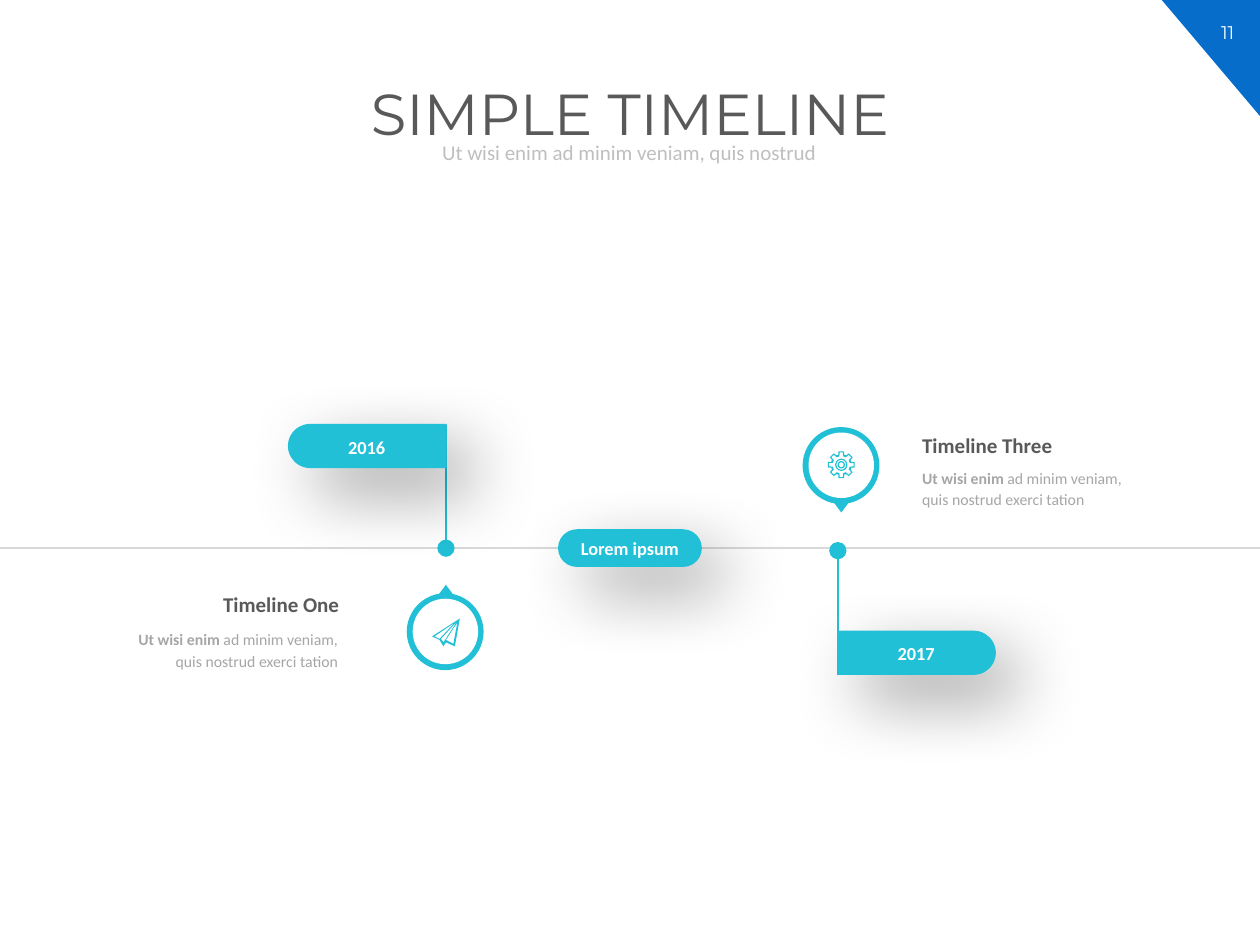
from math import cos, pi, sin

from lxml import etree
from pptx import Presentation
from pptx.dml.color import RGBColor
from pptx.enum.shapes import MSO_CONNECTOR, MSO_SHAPE
from pptx.enum.text import MSO_ANCHOR, PP_ALIGN
from pptx.oxml.ns import qn
from pptx.util import Cm, Pt

STRAIGHT = MSO_CONNECTOR.STRAIGHT
OVAL, TRIANGLE, DONUT = MSO_SHAPE.OVAL, MSO_SHAPE.ISOSCELES_TRIANGLE, MSO_SHAPE.DONUT
RIGHT_TRIANGLE, PILL = MSO_SHAPE.RIGHT_TRIANGLE, MSO_SHAPE.ROUNDED_RECTANGLE
FLAG = MSO_SHAPE.ROUND_2_SAME_RECTANGLE
TOP, MIDDLE = MSO_ANCHOR.TOP, MSO_ANCHOR.MIDDLE
LEFT, CENTER, RIGHT = PP_ALIGN.LEFT, PP_ALIGN.CENTER, PP_ALIGN.RIGHT
color = RGBColor.from_string
TEAL, WHITE, DARK = "21C0D7", "FFFFFF", "595959"

deck = Presentation()
deck.slide_width, deck.slide_height = Cm(25.4), Cm(19.05)
page = deck.slides.add_slide(deck.slide_layouts[6])


def add_form(kind, left, top, width, height, fill, rotation=0, adjust=()):
    form = page.shapes.add_shape(kind, Cm(left), Cm(top), Cm(width), Cm(height))
    form.shadow.inherit = False
    form.fill.solid()
    form.fill.fore_color.rgb = color(fill)
    form.line.fill.background()
    form.rotation = rotation
    for index, value in enumerate(adjust):
        form.adjustments[index] = value
    return form


def add_text(place, runs, size, ink, align=CENTER, font="Calibri", spacing=1.0,
             anchor=TOP, wrap=True, box=None):
    box = box or page.shapes.add_textbox(*[Cm(length) for length in place])
    frame = box.text_frame
    frame.word_wrap = wrap
    frame.vertical_anchor = anchor
    para = frame.paragraphs[0]
    para.alignment = align
    para.line_spacing = spacing
    for words, bold in runs:
        span = para.add_run()
        span.text = words
        span.font.name, span.font.size, span.font.bold = font, Pt(size), bold
        span.font.color.rgb = color(ink)


add_form(RIGHT_TRIANGLE, 23.42, 0, 1.98, 2.34, "066DCA", 180)
add_text((24.1, 0.3, 1.3, 0.71), [("11", False)], 10.5, WHITE, font="Montserrat")
add_text((1.45, 1.6, 22.5, 1.85), [("SIMPLE TIMELINE", False)], 33, DARK,
         font="Montserrat", spacing=0.9)
add_text((3.53, 2.77, 18.31, 0.66), [("Ut wisi enim ad minim veniam, quis nostrud", False)],
         12, "BFBFBF", spacing=0.9, anchor=MIDDLE)

lines = [
    (0, 11.05, 25.4, 11.05, "D9D9D9", 1, False),
    (8.99, 8.56, 8.99, 11.05, TEAL, 1.5, True),
    (16.89, 13.59, 16.89, 11.1, TEAL, 1.5, True),
]
for start_x, start_y, end_x, end_y, ink, weight, dotted in lines:
    line = page.shapes.add_connector(STRAIGHT, Cm(start_x), Cm(start_y), Cm(end_x), Cm(end_y))
    line.line.color.rgb = color(ink)
    line.line.width = Pt(weight)
    properties = line._element.spPr
    if dotted:
        etree.SubElement(properties.find(qn("a:ln")), qn("a:tailEnd"),
                         type="oval", w="lg", len="lg")
    etree.SubElement(properties, qn("a:effectLst"))

events = [
    ("2016", (6.96, 7.39), 270, (6.22, 8.66), "Timeline One", (4.19, 11.81, 2.9, 0.76),
     (2.01, 12.52), RIGHT, (8.2, 11.96), (8.84, 11.79), 0),
    ("2017", (18.03, 11.56), 90, (17.3, 12.83), "Timeline Three", (18.34, 8.59, 3.18, 0.76),
     (18.34, 9.27), LEFT, (16.18, 8.61), (16.81, 10.13), 180),
]
raised = []
for (year, flag, turn, year_place, heading, heading_place, body_place, align,
     badge, pointer, pointer_turn) in events:
    raised.append(add_form(FLAG, *flag, 0.89, 3.2, TEAL, turn, (0.5, 0)))
    add_text((*year_place, 2.34, 0.71), [(year, True)], 10.5, WHITE)
    add_text(heading_place, [(heading, True)], 12, DARK, align, wrap=False)
    add_text((*body_place, 5.05, 1.19),
             [("Ut wisi enim ", True), ("ad minim veniam, quis nostrud exerci tation", False)],
             9, "A6A6A6", align, spacing=1.14)
    add_form(OVAL, *badge, 1.55, 1.55, TEAL)
    add_form(TRIANGLE, *pointer, 0.3, 0.2, TEAL, pointer_turn)
    add_form(OVAL, badge[0] + 0.12, badge[1] + 0.11, 1.32, 1.32, WHITE)

plane = [
    [(56, 0), (0, 36), (15, 43), (23, 56), (28, 48), (46, 56)],
    [(43, 51), (28, 43), (51, 8)],
    [(18, 41), (51, 5), (23, 48)],
    [(5, 36), (46, 8), (15, 41)],
]
gear = []
for tip, tip_angle, root, root_angle in [(28, 0.2, 21, 0.3), (25, 0.12, 18, 0.24)]:
    corners = [(root, -root_angle), (tip, -tip_angle), (tip, tip_angle), (root, root_angle)]
    gear.append([(radius * cos(tooth * pi / 4 + angle), radius * sin(tooth * pi / 4 + angle))
                 for tooth in range(8) for radius, angle in corners])

gear_x, gear_y = 16.96, 9.37
for contours, left, top in [(plane, 8.71, 12.47), (gear, gear_x, gear_y)]:
    builder = page.shapes.build_freeform(*contours[0][0], scale=Cm(0.01))
    builder.add_line_segments(contours[0][1:], close=True)
    for contour in contours[1:]:
        builder.move_to(*contour[0])
        builder.add_line_segments(contour[1:], close=True)
    icon = builder.convert_to_shape(Cm(left), Cm(top))
    icon.shadow.inherit = False
    icon.fill.solid()
    icon.fill.fore_color.rgb = color(TEAL)
    icon.line.fill.background()

for size, thickness in [(0.25, 0.1), (0.15, 0.17)]:
    add_form(DONUT, gear_x - size / 2, gear_y - size / 2, size, size, TEAL, 0, (thickness,))

label = add_form(PILL, 11.25, 10.67, 2.9, 0.76, TEAL, 0, (0.5,))
add_text(None, [("Lorem ipsum", True)], 10.5, WHITE, anchor=MIDDLE, box=label)
raised.append(label)

for form in raised:
    effects = form._element.spPr.find(qn("a:effectLst"))
    shadow = etree.SubElement(effects, qn("a:outerShdw"), blurRad=str(Pt(40)),
                              dist=str(Pt(20)), dir="2700000", algn="ctr", rotWithShape="0")
    tint = etree.SubElement(shadow, qn("a:srgbClr"), val="000000")
    etree.SubElement(tint, qn("a:alpha"), val="40000")

deck.save("out.pptx")
